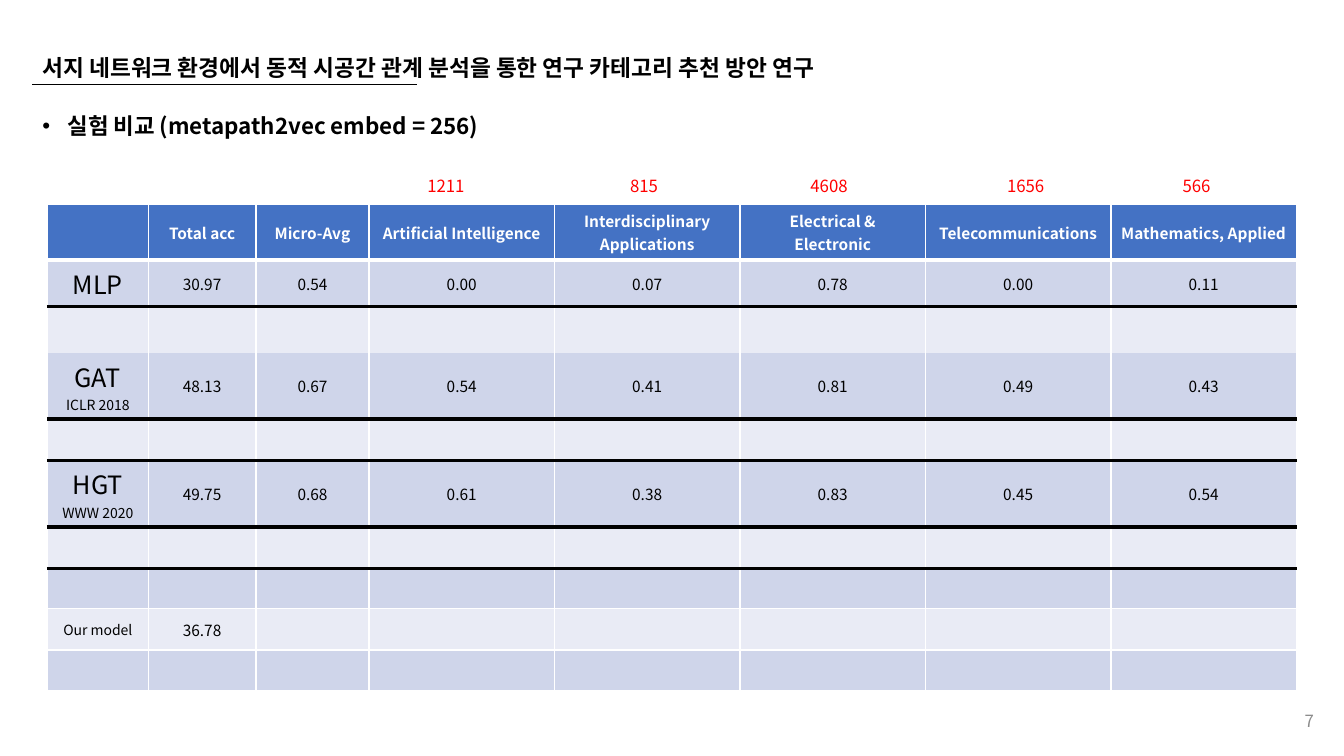
"""Build the slide that compares the recommendation models."""
from dataclasses import dataclass

from lxml.etree import SubElement
from pptx import Presentation
from pptx.dml.color import RGBColor
from pptx.enum.shapes import MSO_CONNECTOR
from pptx.enum.text import MSO_ANCHOR, MSO_AUTO_SIZE, PP_ALIGN
from pptx.oxml.ns import qn
from pptx.util import Inches, Pt


@dataclass(frozen=True)
class Theme:
    font: str = "Noto Sans CJK KR"
    black: str = "000000"
    white: str = "FFFFFF"
    red: str = "FF0000"
    gray: str = "8C8C8C"
    header: str = "4472C4"
    bands: tuple = ("E9EBF5", "CFD5EA")
    title: float = 16.2
    body: float = 16
    model: float = 18
    label: float = 12
    value: float = 11
    venue: float = 10


theme = Theme()


def write(para, text, size, color=theme.black, bold=False, align=PP_ALIGN.LEFT):
    para.alignment = align
    span = para.add_run()
    span.text = text
    span.font.name = theme.font
    span.font.size = Pt(size)
    span.font.bold = bold
    span.font.color.rgb = RGBColor.from_string(color)
    SubElement(span._r.get_or_add_rPr(), qn("a:ea"), typeface=theme.font)


def draw_border(cell, side, color, width):
    line = SubElement(cell._tc.get_or_add_tcPr(), qn(f"a:ln{side}"), w=str(Pt(width)))
    if color:
        fill = SubElement(line, qn("a:solidFill"))
        SubElement(fill, qn("a:srgbClr"), val=color)
    else:
        SubElement(line, qn("a:noFill"))


deck = Presentation()
deck.slide_width, deck.slide_height = Inches(13.33), Inches(7.5)
page = deck.slides.add_slide(deck.slide_layouts[1])

rule = page.shapes.add_connector(
    MSO_CONNECTOR.STRAIGHT, Inches(0.32), Inches(0.84), Inches(4.14), Inches(0.84))
rule.line.color.rgb = RGBColor.from_string(theme.black)
rule.line.width = Pt(0.5)
SubElement(rule._element.spPr, qn("a:effectLst"))

title, body = page.placeholders
title.left, title.top = Inches(0.32), Inches(0.49)
title.width, title.height = Inches(9.71), Inches(0.36)
title.text_frame.auto_size = MSO_AUTO_SIZE.NONE
title.text_frame.vertical_anchor = MSO_ANCHOR.MIDDLE
write(title.text_frame.paragraphs[0],
      "서지 네트워크 환경에서 동적 시공간 관계 분석을 통한 연구 카테고리 추천 방안 연구",
      theme.title, bold=True)

body.left, body.top = Inches(0.32), Inches(1.09)
body.width, body.height = Inches(12.81), Inches(5.86)
body.text_frame.auto_size = MSO_AUTO_SIZE.NONE
para = body.text_frame.paragraphs[0]
para.line_spacing = 0.9
para.space_before = Pt(0)
bullet = para._p.get_or_add_pPr()
bullet.set("marL", str(Inches(0.25)))
bullet.set("indent", str(Inches(-0.25)))
SubElement(bullet, qn("a:buFont"), typeface="Arial")
SubElement(bullet, qn("a:buChar"), char="•")
write(para, "실험 비교 (metapath2vec embed = 256)", theme.body, bold=True)

number = page.shapes.add_textbox(Inches(10.13), Inches(6.95), Inches(3), Inches(0.4))
number.text_frame.word_wrap = True
number.text_frame.vertical_anchor = MSO_ANCHOR.MIDDLE
write(number.text_frame.paragraphs[0], "7", theme.label, theme.gray, align=PP_ALIGN.RIGHT)

headings = ["", "Total acc", "Micro-Avg", "Artificial Intelligence",
            "Interdisciplinary Applications", "Electrical & Electronic",
            "Telecommunications", "Mathematics, Applied"]
results = {
    1: ["MLP", "30.97", "0.54", "0.00", "0.07", "0.78", "0.00", "0.11"],
    3: ["GAT ", "48.13", "0.67", "0.54", "0.41", "0.81", "0.49", "0.43"],
    5: ["HGT ", "49.75", "0.68", "0.61", "0.38", "0.83", "0.45", "0.54"],
    8: ["Our model", "36.78"],
}
venues = {3: "ICLR 2018", 5: "WWW 2020"}
column_widths = [1, 1.07, 1.12] + [1.84] * 5
row_heights = [0.55, 0.46, 0.46, 0.66, 0.41, 0.66, 0.41, 0.4, 0.41, 0.4]
thin, thick, heavy = (theme.white, 1), (theme.white, 3), (theme.black, 3)
edges = [thin, thick, heavy, (None, 1)] + [heavy] * 4 + [thin] * 3

table = page.shapes.add_table(
    len(row_heights), len(column_widths), Inches(0.47), Inches(2.03),
    Inches(sum(column_widths)), Inches(sum(row_heights))).table
for column, width in zip(table.columns, column_widths):
    column.width = Inches(width)

for row, height in enumerate(row_heights):
    table.rows[row].height = Inches(height)
    texts = headings if row == 0 else results.get(row, [])
    for column in range(len(column_widths)):
        cell = table.cell(row, column)
        cell.vertical_anchor = MSO_ANCHOR.MIDDLE
        for side, edge in zip("LRTB", (thin, thin, edges[row], edges[row + 1])):
            draw_border(cell, side, *edge)
        cell.fill.solid()
        cell.fill.fore_color.rgb = RGBColor.from_string(
            theme.bands[row % 2] if row else theme.header)
        text = texts[column] if column < len(texts) else ""
        if not text:
            cell.margin_top = cell.margin_bottom = 0
            continue
        size = theme.value
        if column == 0:
            size = theme.venue if text == "Our model" else theme.model
        para = cell.text_frame.paragraphs[0]
        write(para, text, size, theme.black if row else theme.white,
              bold=row == 0, align=PP_ALIGN.CENTER)
        if column == 0 and row in venues:
            write(para, venues[row], theme.venue, align=PP_ALIGN.CENTER)

counts = [("1211", 4.14, 0.57), ("815", 6.15, 0.48), ("4608", 7.94, 0.57),
          ("1656", 9.89, 0.57), ("566", 11.63, 0.48)]
for count, left, width in counts:
    box = page.shapes.add_textbox(Inches(left), Inches(1.69), Inches(width), Inches(0.3))
    box.text_frame.word_wrap = False
    box.text_frame.auto_size = MSO_AUTO_SIZE.SHAPE_TO_FIT_TEXT
    write(box.text_frame.paragraphs[0], count, theme.label, theme.red)

deck.save("out.pptx")
